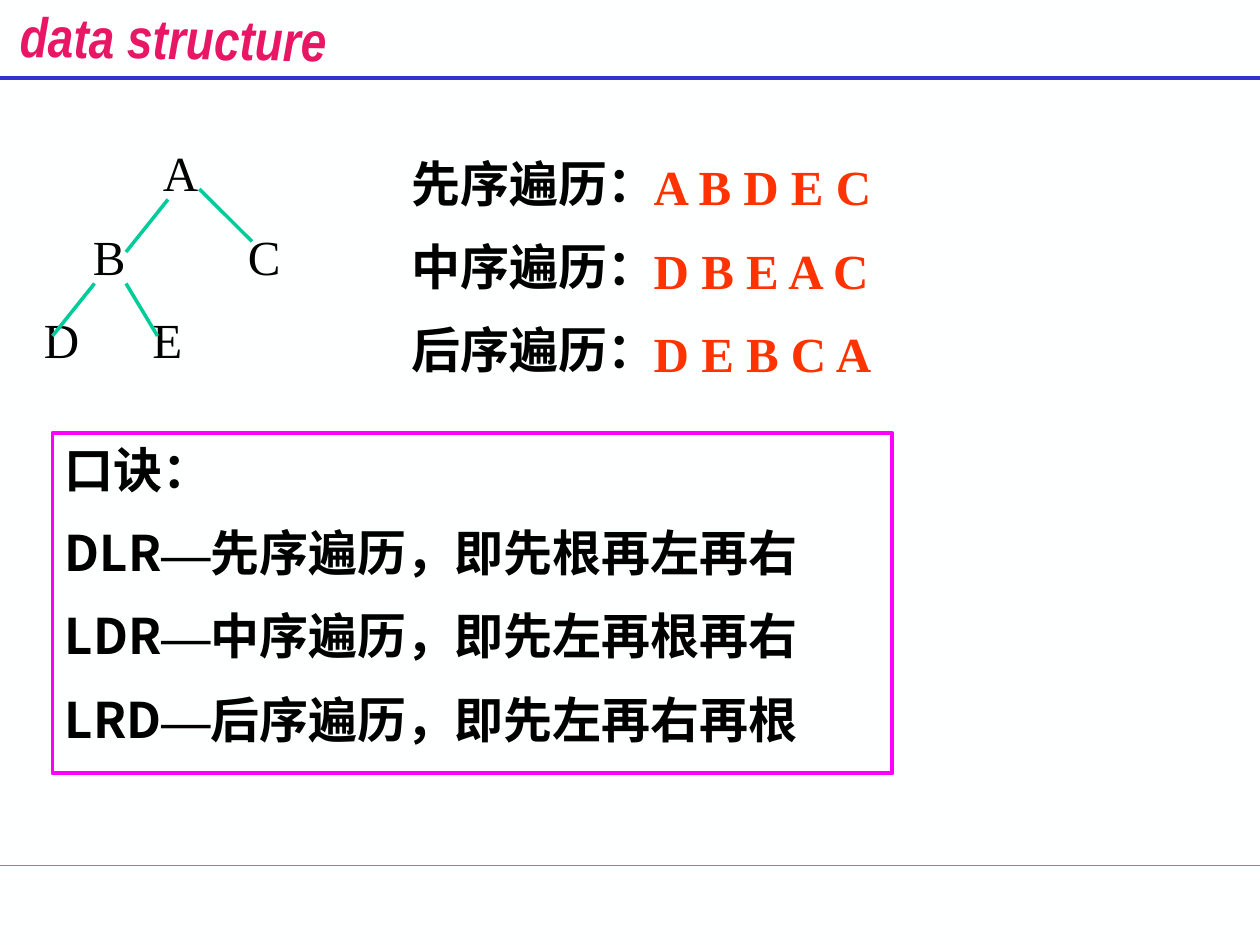
from dataclasses import dataclass

from lxml import etree
from pptx import Presentation
from pptx.dml.color import RGBColor
from pptx.enum.shapes import MSO_CONNECTOR, MSO_SHAPE
from pptx.enum.text import MSO_ANCHOR, PP_ALIGN
from pptx.oxml.ns import qn
from pptx.util import Pt

STRAIGHT = MSO_CONNECTOR.STRAIGHT
RECTANGLE = MSO_SHAPE.RECTANGLE
TOP = MSO_ANCHOR.TOP
LEFT, CENTER = PP_ALIGN.LEFT, PP_ALIGN.CENTER
CHINESE_START = 0x3000


@dataclass(frozen=True)
class Theme:
    background: str = "FEFFFF"
    ink: str = "000000"
    title: str = "E81766"
    header_rule: str = "3333CC"
    green: str = "00CC99"
    answer: str = "FF3300"
    frame: str = "FF00FF"
    title_font: str = "Arial Narrow"
    latin_font: str = "Times New Roman"
    chinese_font: str = "Noto Sans CJK SC"
    title_size: int = 32
    body_size: int = 28


class SlideBuilder:
    def __init__(self, slide, theme):
        self.slide, self.theme = slide, theme
        fill = slide.background.fill
        fill.solid()
        fill.fore_color.rgb = RGBColor.from_string(theme.background)

    def style(self, font, name, size, color, bold=False, italic=False):
        font.size, font.bold, font.italic = Pt(size), bold, italic
        font.color.rgb = RGBColor.from_string(color)
        font.name = name

    def title(self, text, left, top, width, height, rotation):
        title = self.slide.shapes.title
        title.left, title.top, title.width, title.height = map(Pt, (left, top, width, height))
        title.rotation = rotation
        frame = title.text_frame
        frame.margin_left = frame.margin_right = frame.margin_top = frame.margin_bottom = 0
        frame.word_wrap, frame.vertical_anchor = False, TOP
        frame.text = text
        paragraph = frame.paragraphs[0]
        paragraph.alignment = CENTER
        self.style(paragraph.font, self.theme.title_font, self.theme.title_size,
                   self.theme.title, bold=True, italic=True)

    def line(self, start, end, color, weight):
        line = self.slide.shapes.add_connector(STRAIGHT, *map(Pt, (*start, *end)))
        line.line.color.rgb = RGBColor.from_string(color)
        line.line.width = Pt(weight)
        etree.SubElement(line._element.spPr, qn("a:effectLst"))

    def fill_text(self, frame, lines, font, color, bold, tabs=()):
        """Each line is a list of (text, font name) runs, or plain text."""
        frame.word_wrap, frame.vertical_anchor = True, TOP
        for index, line in enumerate(lines):
            paragraph = frame.add_paragraph() if index else frame.paragraphs[0]
            paragraph.alignment = LEFT
            self.style(paragraph.font, font, self.theme.body_size, color, bold)
            properties = paragraph._p.get_or_add_pPr()
            # Half a line of space before, then the tab stops of this line
            before = etree.Element(qn("a:spcBef"))
            etree.SubElement(before, qn("a:spcPct"), val="50000")
            properties.insert(0, before)
            if tabs:
                stops = etree.Element(qn("a:tabLst"))
                for position in tabs[index]:
                    etree.SubElement(stops, qn("a:tab"), pos=str(Pt(position)), algn="l")
                properties.insert(1, stops)
            for text, name in ([(line, font)] if isinstance(line, str) else line):
                run = paragraph.add_run()
                run.text = text
                if name != font:
                    run.font.name = name
                if any(ord(char) >= CHINESE_START for char in text):
                    etree.SubElement(run._r.get_or_add_rPr(), qn("a:ea"),
                                     typeface=self.theme.chinese_font)

    def text(self, lines, left, top, width, height, color, bold=False, tabs=()):
        box = self.slide.shapes.add_textbox(*map(Pt, (left, top, width, height)))
        self.fill_text(box.text_frame, lines, self.theme.latin_font, color, bold, tabs)

    def framed_text(self, lines, left, top, width, height):
        box = self.slide.shapes.add_shape(RECTANGLE, *map(Pt, (left, top, width, height)))
        box.shadow.inherit = False
        box.fill.background()
        box.line.color.rgb = RGBColor.from_string(self.theme.frame)
        box.line.width = Pt(2.25)
        self.fill_text(box.text_frame, lines, self.theme.chinese_font, self.theme.ink, True)


def main():
    theme = Theme()
    deck = Presentation()
    deck.slide_width, deck.slide_height = Pt(720), Pt(540)
    page = SlideBuilder(deck.slides.add_slide(deck.slide_layouts[5]), theme)

    # Header and footer rules
    page.line((0, 494.64), (720, 494.64), theme.green, 0.75)
    page.line((0, 44.64), (720, 44.64), theme.header_rule, 2.25)
    page.title("data structure", 4, 2, 190, 38, 0.8)

    # Binary tree: nodes on tab stops, then branches
    page.text(["\tA", "\tB\tC", "D\tE"], 18, 78, 198, 142, theme.ink,
              tabs=[(68,), (28, 116.5), (62,)])
    for start, end in [((96, 114), (72, 144)), ((114, 108), (144, 138)),
                       ((72, 162), (90, 192)), ((54, 162), (30, 192))]:
        page.line(start, end, theme.green, 2)

    # Traversal orders and their results
    orders = ["先序遍历", "中序遍历", "后序遍历"]
    page.text([f"{order}：" for order in orders], 228, 84, 161, 142, theme.ink, bold=True)
    page.text(["A B D E C", "D B E A C", "D E B C A"], 366.5, 86, 144, 142,
              theme.answer, bold=True)

    # Mnemonic
    codes = ["DLR", "LDR", "LRD"]
    steps = ["先根再左再右", "先左再根再右", "先左再右再根"]
    rules = [[(code, theme.chinese_font), ("—", theme.latin_font),
              (f"{order}，即{step}", theme.chinese_font)]
             for code, order, step in zip(codes, orders, steps)]
    page.framed_text(["口诀：", *rules], 30, 247.5, 480, 194.5)

    deck.save("out.pptx")


if __name__ == "__main__":
    main()
